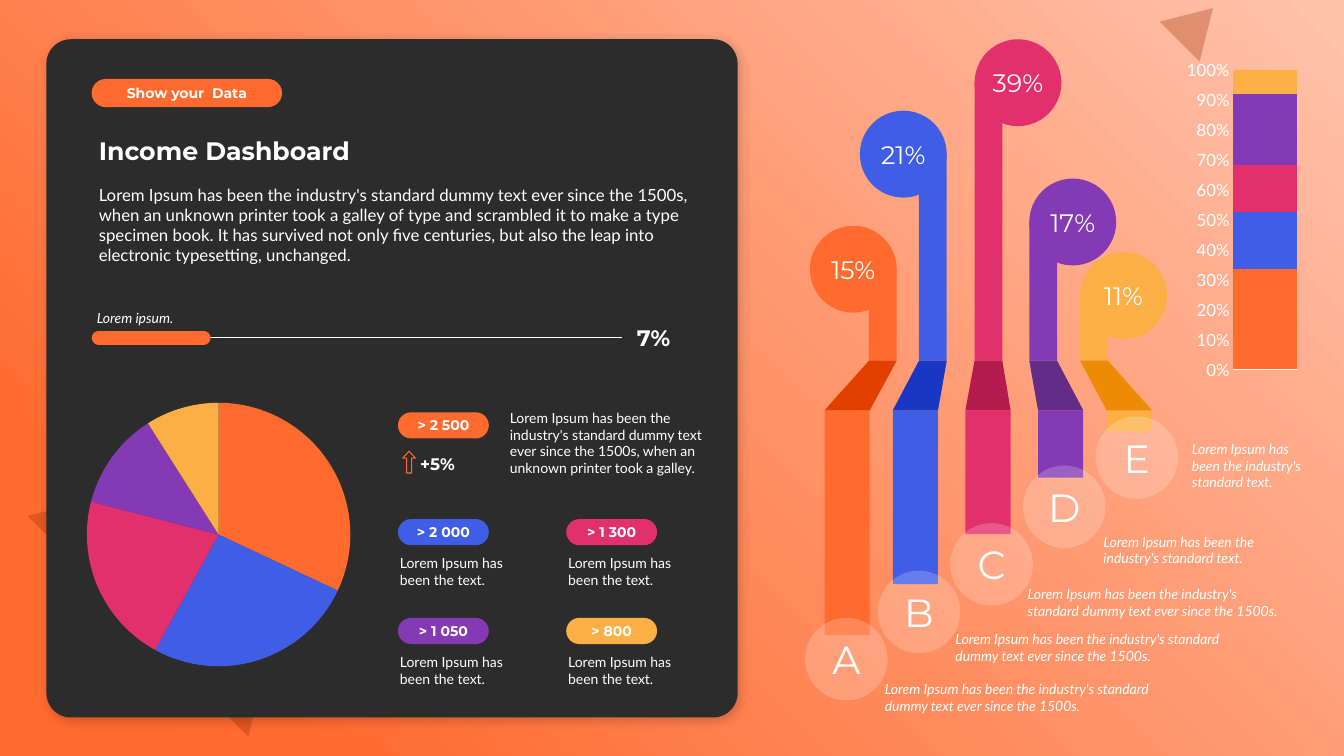
from lxml.etree import SubElement
from pptx import Presentation
from pptx.chart.data import CategoryChartData
from pptx.dml.color import RGBColor
from pptx.enum.chart import XL_CHART_TYPE as ChartType, XL_TICK_MARK as TickMark
from pptx.enum.shapes import MSO_CONNECTOR as Connector, MSO_SHAPE as Preset
from pptx.enum.text import MSO_ANCHOR as Anchor, MSO_AUTO_SIZE as AutoSize, PP_ALIGN as Align
from pptx.oxml.ns import qn
from pptx.util import Cm, Pt

WIDTH, HEIGHT = 33.87, 19.05
WHITE, DARK, RUST = "FFFFFF", "2C2C2C", "972B00"
ORANGE, BLUE, PINK, PURPLE, YELLOW = "FF6A2F", "405DE6", "E1306C", "833AB4", "FCAF45"
COLORS = [ORANGE, BLUE, PINK, PURPLE, YELLOW]
HEAD, BODY = "Montserrat", "Lato"

TITLE = "Income Dashboard"
INTRO = ("Lorem Ipsum has been the industry's standard dummy text ever since the 1500s, "
         "when an unknown printer took a galley of type and scrambled it to make a type "
         "specimen book. It has survived not only five centuries, but also the leap into "
         "electronic typesetting, unchanged.")
GALLEY = ("Lorem Ipsum has been the industry's standard dummy text ever since the 1500s, "
          "when an unknown printer took a galley.")
CARD_TEXT = "Lorem Ipsum has been the text."
LONG = "Lorem Ipsum has been the industry's standard dummy text ever since the 1500s."
SHORT = "Lorem Ipsum has been the industry's standard text."

PIE_VALUES = [32, 26, 21, 12, 9]
STACK_VALUES = [34, 19, 16, 24, 8]

# amount, colour, column, row
CARDS = [("> 2 000", BLUE, 0, 0), ("> 1 300", PINK, 1, 0),
         ("> 1 050", PURPLE, 0, 1), ("> 800", YELLOW, 1, 1)]

# letter, share, colour, fold colour, side of the stem on its disc,
# stem left, disc top, bar left, bar bottom, badge top
RIBBONS = [
    ("A", "15%", ORANGE, "E24000", "right", 21.9, 5.69, 20.78, 16.0, 15.57),
    ("B", "21%", BLUE, "1A37C3", "right", 23.16, 2.79, 22.5, 14.72, 14.38),
    ("C", "39%", PINK, "B31A4E", "left", 24.56, 0.99, 24.33, 13.46, 13.18),
    ("D", "17%", PURPLE, "622C87", "left", 25.94, 4.5, 26.16, 12.04, 11.73),
    ("E", "11%", YELLOW, "ED8B04", "left", 27.22, 6.35, 27.89, 10.87, 10.49),
]
# text, left, top, width, height
CAPTIONS = [(LONG, 22.05, 17.02, 7.75, 1.12), (LONG, 23.83, 15.77, 7.75, 1.12),
            (LONG, 25.65, 14.63, 6.88, 1.12), (SHORT, 27.56, 13.31, 4.95, 1.12),
            (SHORT, 29.79, 10.97, 3.63, 1.55)]

STEM_WIDTH, BAR_WIDTH, DISC, BADGE = 0.7, 1.14, 2.19, 2.08
FOLD_TOP, FOLD_BOTTOM = 9.09, 10.34
BADGE_LEFT, BADGE_STEP = 20.29, 1.83
CARD_LEFT, CARD_TOP, CARD_STEP_X, CARD_STEP_Y = 10.03, 13.08, 4.24, 2.49
PILL_WIDTH, PILL_HEIGHT = 2.29, 0.66


def rgb(color):
    return RGBColor.from_string(color)


def paint(shape, color, alpha=None):
    """Plain fill without line or shadow; alpha is opacity in percent."""
    shape.shadow.inherit = False
    shape.line.fill.background()
    shape.fill.solid()
    shape.fill.fore_color.rgb = rgb(color)
    if alpha:
        tint = shape.fill._xPr.find(".//" + qn("a:srgbClr"))
        SubElement(tint, qn("a:alpha"), val=str(alpha * 1000))


def add_preset(preset, box, color, alpha=None, adjust=None, rotation=0):
    shape = slide.shapes.add_shape(preset, *map(Cm, box))
    paint(shape, color, alpha)
    if adjust is not None:
        shape.adjustments[0] = adjust
    shape.rotation = rotation
    return shape


def write(shape, text, size, font=BODY, bold=False, italic=False,
          align=Align.LEFT, anchor=Anchor.TOP, inset=0.25):
    frame = shape.text_frame
    frame.word_wrap = True
    frame.vertical_anchor = anchor
    frame.margin_left = frame.margin_right = Cm(inset)
    frame.text = text
    paragraph = frame.paragraphs[0]
    paragraph.alignment = align
    style = paragraph.font
    style.name, style.size, style.bold, style.italic = font, Pt(size), bold, italic
    style.color.rgb = rgb(WHITE)


def add_label(box, text, size, **style):
    label = slide.shapes.add_textbox(*map(Cm, box))
    write(label, text, size, **style)
    label.text_frame.auto_size = AutoSize.SHAPE_TO_FIT_TEXT


def add_pill(left, top, text, color, width=PILL_WIDTH, height=PILL_HEIGHT):
    pill = add_preset(Preset.ROUNDED_RECTANGLE, (left, top, width, height), color, adjust=0.5)
    pill.text_frame.margin_top = pill.text_frame.margin_bottom = 0
    write(pill, text, 10, font=HEAD, bold=True, align=Align.CENTER, anchor=Anchor.MIDDLE, inset=0)


def add_disc(left, top, size, text, points, color, alpha=None):
    disc = add_preset(Preset.OVAL, (left, top, size, size), color, alpha)
    write(disc, text, points, font=HEAD, align=Align.CENTER, anchor=Anchor.MIDDLE, inset=0)


def add_rule(left, right, y, color, weight):
    rule = slide.shapes.add_connector(Connector.STRAIGHT, Cm(left), Cm(y), Cm(right), Cm(y))
    rule.line.color.rgb = rgb(color)
    rule.line.width = Pt(weight)
    SubElement(rule._element.spPr, qn("a:effectLst"))
    return rule


def add_chart(kind, box, categories, series):
    data = CategoryChartData()
    data.categories = categories
    for number, values in enumerate(series, 1):
        data.add_series(f"Series {number}", values)
    chart = slide.shapes.add_chart(kind, *map(Cm, box), data).chart
    chart.has_legend = chart.has_title = False
    chart.font.name, chart.font.size = BODY, Pt(12)
    chart.font.color.rgb = rgb(WHITE)
    return chart


def color_part(part, color):
    part.format.fill.solid()
    part.format.fill.fore_color.rgb = rgb(color)


presentation = Presentation()
presentation.slide_width, presentation.slide_height = Cm(WIDTH), Cm(HEIGHT)
slide = presentation.slides.add_slide(presentation.slide_layouts[5])

# Backdrop: light glow from the top right corner
backdrop = add_preset(Preset.RECTANGLE, (0, 0, WIDTH, HEIGHT), ORANGE)
backdrop.fill.gradient()
glow, edge = backdrop.fill.gradient_stops
glow.color.rgb, edge.color.rgb = rgb("FFC3AC"), rgb(ORANGE)
glow.position, edge.position = 0, 0.85
gradient = backdrop._element.spPr.find(qn("a:gradFill"))
gradient.remove(gradient.find(qn("a:lin")))
circle = SubElement(gradient, qn("a:path"), {"path": "circle"})
SubElement(circle, qn("a:fillToRect"), l="100000", b="100000")
for box in [(1.85, 10.21, 7.87, 6.53), (29.44, 0.03, 1.42, 1.19)]:
    add_preset(Preset.ISOSCELES_TRIANGLE, box, RUST, alpha=30, rotation=45)

# Dark panel with its heading
panel = add_preset(Preset.ROUNDED_RECTANGLE, (1.17, 0.99, 17.42, 17.09), DARK, adjust=0.036)
shadow = SubElement(panel._element.spPr.find(qn("a:effectLst")), qn("a:outerShdw"),
                    blurRad=str(Pt(8)), dist=str(Pt(3)), dir="2700000", rotWithShape="0")
SubElement(SubElement(shadow, qn("a:srgbClr"), val="000000"), qn("a:alpha"), val="20000")
title = slide.shapes.title
panel._element.addnext(title._element)
title.left, title.top, title.width, title.height = map(Cm, (2.24, 3.28, 15.65, 1.02))
write(title, TITLE, 18, font=HEAD, bold=True, anchor=Anchor.BOTTOM)
title.text_frame.auto_size = AutoSize.NONE
add_label((2.24, 4.52, 15.65, 2.31), INTRO, 12)
add_pill(2.31, 1.99, "Show your  Data", ORANGE, 4.8, 0.71)

# Progress line
add_rule(2.34, 15.67, 8.51, WHITE, 0.5)
progress = add_rule(2.49, 5.13, 8.51, ORANGE, 10)
progress.line._get_or_add_ln().set("cap", "rnd")
add_label((15.8, 8.03, 2.41, 0.94), "7%", 16, font=HEAD, bold=True, anchor=Anchor.MIDDLE)
add_label((2.24, 7.65, 4.88, 0.69), "Lorem ipsum.", 10, italic=True,
          anchor=Anchor.BOTTOM, inset=0.2)

# Pie and amounts
pie = add_chart(ChartType.PIE, (1.52, 9.8, 7.98, 7.34), list("12345"), [PIE_VALUES])
pie.plots[0].vary_by_categories = True
for index, color in enumerate(COLORS):
    color_part(pie.plots[0].series[0].points[index], color)

add_pill(CARD_LEFT, 10.39, "> 2 500", ORANGE)
arrow = add_preset(Preset.UP_ARROW, (10.15, 11.37, 0.32, 0.55), ORANGE, adjust=0.4)
arrow.adjustments[1] = 0.55
arrow.fill.background()
arrow.line.color.rgb, arrow.line.width = rgb(ORANGE), Pt(0.75)
add_label((10.59, 11.3, 3.23, 0.76), "+5%", 12, font=HEAD, bold=True, inset=0)
add_label((12.85, 10.19, 5.33, 1.96), GALLEY, 10, inset=0)
for amount, color, column, row in CARDS:
    left, top = CARD_LEFT + column * CARD_STEP_X, CARD_TOP + row * CARD_STEP_Y
    add_pill(left, top, amount, color)
    add_label((left + 0.05, top + 0.78, 3.33, 1.12), CARD_TEXT, 10, inset=0)

# Ribbons, then the discs and badges on top of them
for _, _, color, fold_color, _, stem, disc_top, bar, bottom, _ in RIBBONS:
    middle = disc_top + DISC / 2
    add_preset(Preset.RECTANGLE, (stem, middle, STEM_WIDTH, FOLD_TOP - middle), color)
    add_preset(Preset.RECTANGLE, (bar, FOLD_BOTTOM, BAR_WIDTH, bottom - FOLD_BOTTOM), color)
    builder = slide.shapes.build_freeform(Cm(stem), Cm(FOLD_TOP))
    builder.add_line_segments([(Cm(stem + STEM_WIDTH), Cm(FOLD_TOP)),
                               (Cm(bar + BAR_WIDTH), Cm(FOLD_BOTTOM)),
                               (Cm(bar), Cm(FOLD_BOTTOM))])
    paint(builder.convert_to_shape(), fold_color)
for _, share, color, _, side, stem, disc_top, *_ in reversed(RIBBONS):
    left = stem if side == "left" else stem + STEM_WIDTH - DISC
    add_disc(left, disc_top, DISC, share, 18, color)
for index, (letter, *_, badge_top) in enumerate(RIBBONS):
    add_disc(BADGE_LEFT + index * BADGE_STEP, badge_top, BADGE, letter, 28, WHITE, alpha=20)
for text, *box in CAPTIONS:
    add_label(box, text, 10, italic=True)

# Stacked column
stack = add_chart(ChartType.COLUMN_STACKED_100, (29.85, 1.35, 2.9, 8.38), ["1"],
                  [[value] for value in STACK_VALUES])
stack.plots[0].gap_width, stack.plots[0].overlap = 0, 100
for series, color in zip(stack.plots[0].series, COLORS):
    color_part(series, color)
stack.category_axis.visible = False
axis = stack.value_axis
axis.major_tick_mark = axis.minor_tick_mark = TickMark.NONE
axis.format.line.fill.background()
axis.major_gridlines.format.line.color.rgb = rgb(WHITE)
axis.major_gridlines.format.line.width = Pt(0.75)
axis.tick_labels.number_format, axis.tick_labels.number_format_is_linked = "0%", False

presentation.save("out.pptx")
